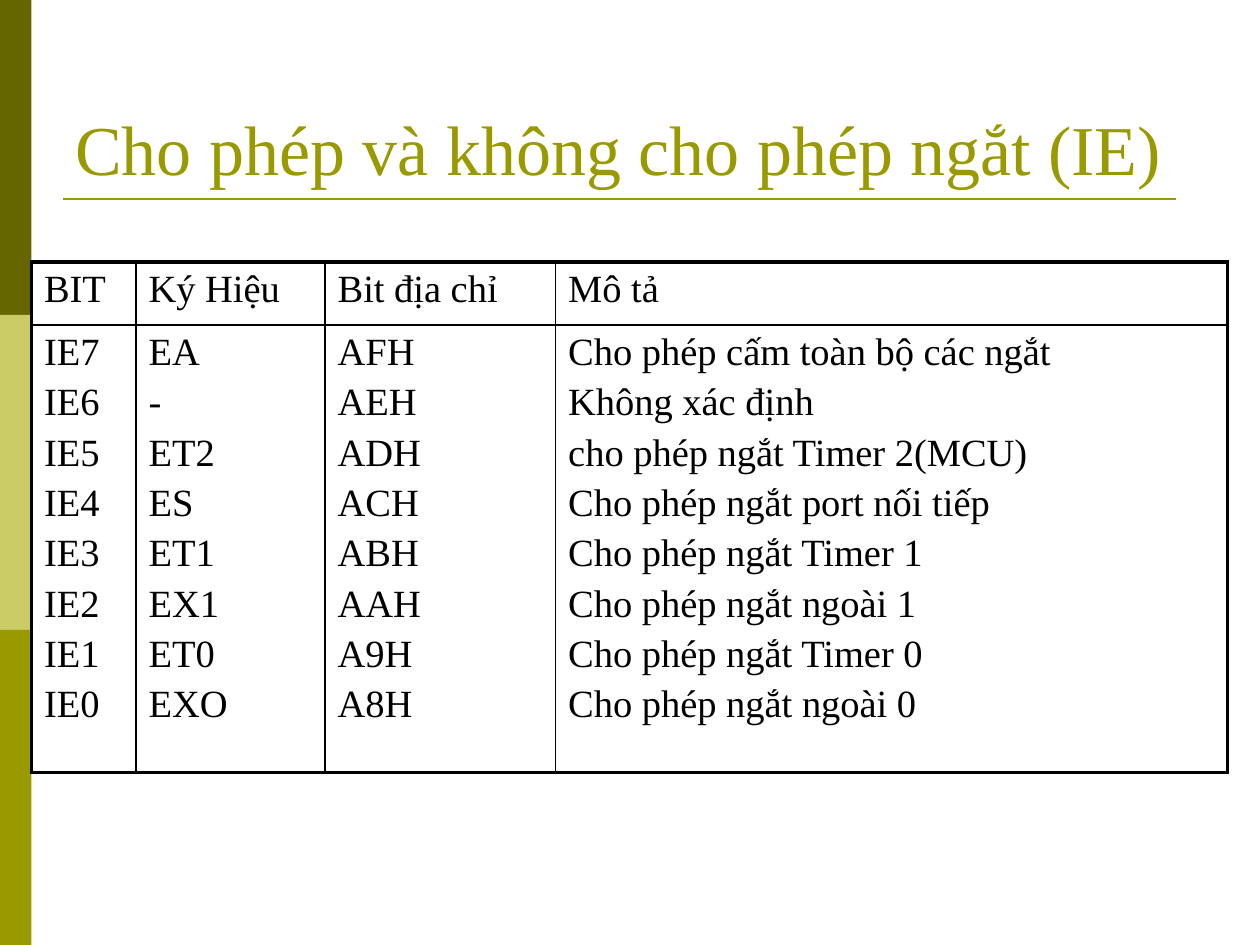
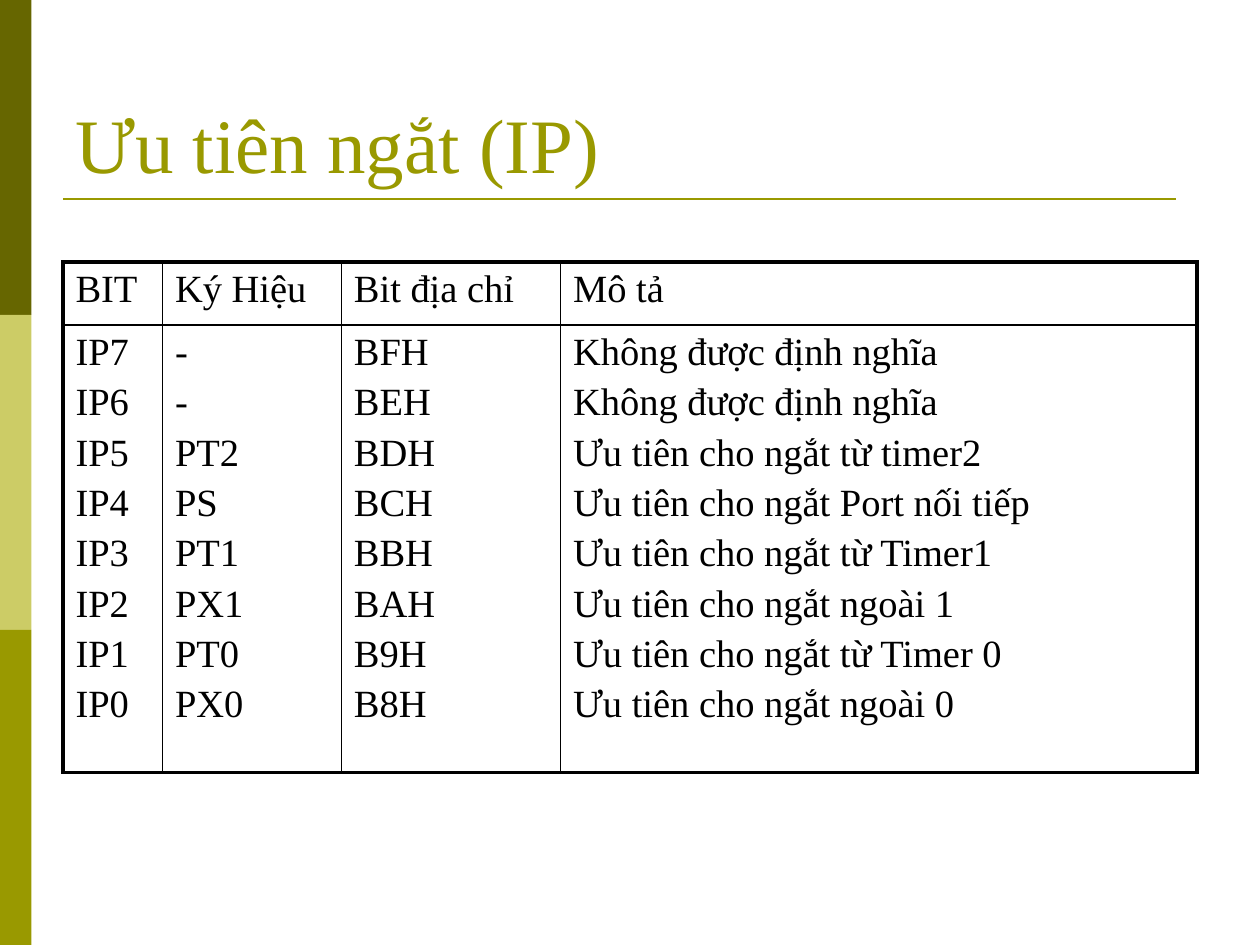
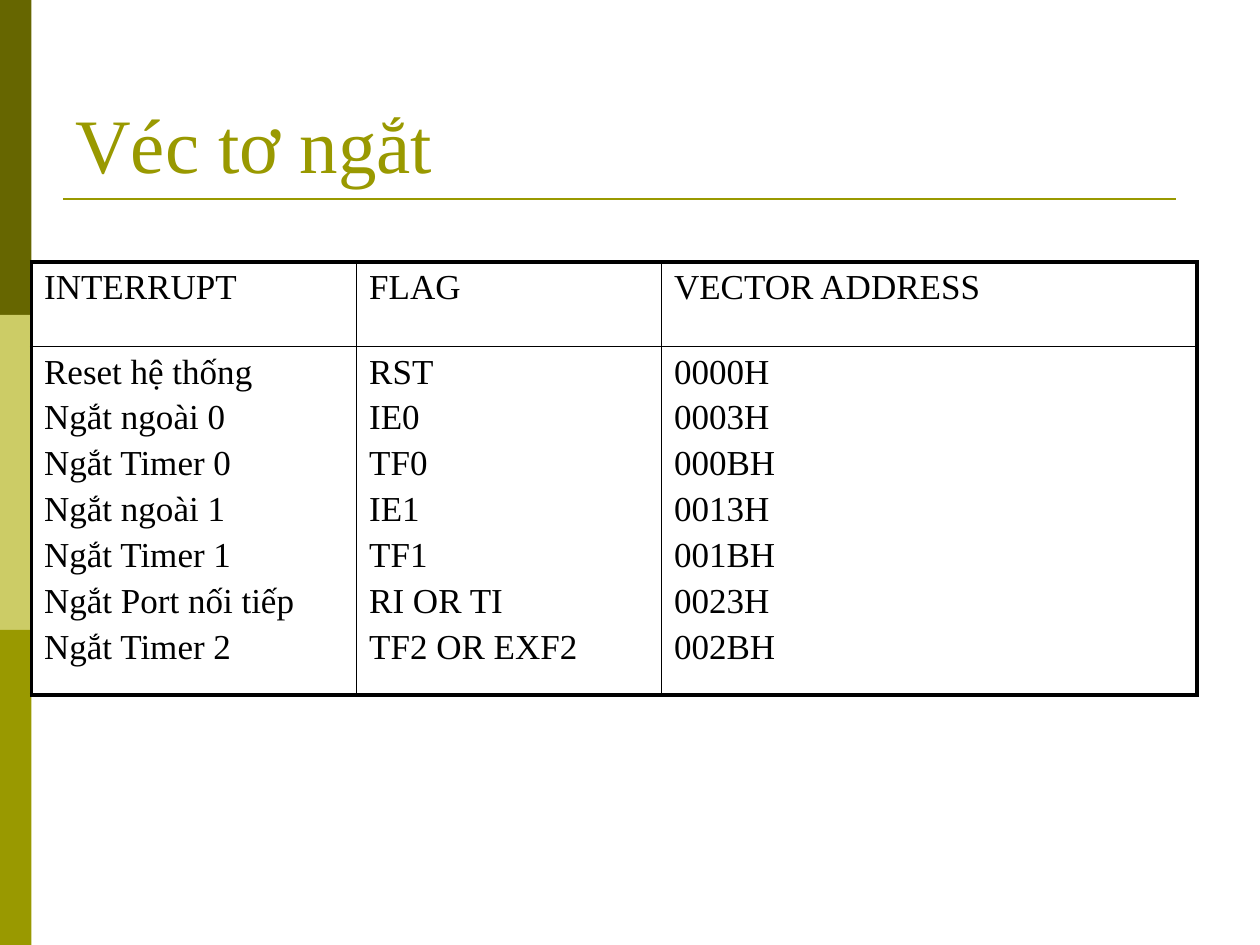
from lxml import etree
from pptx import Presentation
from pptx.dml.color import RGBColor
from pptx.enum import shapes, text
from pptx.oxml.ns import qn
from pptx.util import Inches, Pt

FONT = "Times New Roman"
OLIVE, BLACK = "999900", "000000"
BANDS = ["666600", "CCCC66", OLIVE]
BAND_WIDTH, BAND_HEIGHT = 0.25, 2.5
TABLE_TOP = 2.08
OUTER, INNER = 2.25, 1
SPACING = 0.2
REGISTER_HEADER = ("BIT", "Ký Hiệu", "Bit địa chỉ", "Mô tả")

SLIDES = [
    {
        "title": "Cho phép và không cho phép ngắt (IE)", "title_size": 40,
        "left": 0.25, "text_size": 22,
        "columns": [0.83, 1.5, 1.83, 5.33], "rows": [0.5, 3.55],
        "header": REGISTER_HEADER,
        "entries": [
            ("IE7", "EA", "AFH", "Cho phép cấm toàn bộ các ngắt"),
            ("IE6", "-", "AEH", "Không xác định"),
            ("IE5", "ET2", "ADH", "cho phép ngắt Timer 2(MCU)"),
            ("IE4", "ES", "ACH", "Cho phép ngắt port nối tiếp"),
            ("IE3", "ET1", "ABH", "Cho phép ngắt Timer 1"),
            ("IE2", "EX1", "AAH", "Cho phép ngắt ngoài 1"),
            ("IE1", "ET0", "A9H", "Cho phép ngắt Timer 0"),
            ("IE0", "EXO", "A8H", "Cho phép ngắt ngoài 0"),
        ],
    },
    {
        "title": "Ưu tiên ngắt (IP)", "title_size": 44,
        "left": 0.5, "text_size": 22,
        "columns": [0.79, 1.42, 1.74, 5.05], "rows": [0.5, 3.55],
        "header": REGISTER_HEADER,
        "entries": [
            ("IP7", "-", "BFH", "Không được định nghĩa"),
            ("IP6", "-", "BEH", "Không được định nghĩa"),
            ("IP5", "PT2", "BDH", "Ưu tiên cho ngắt từ timer2"),
            ("IP4", "PS", "BCH", "Ưu tiên cho ngắt Port nối tiếp"),
            ("IP3", "PT1", "BBH", "Ưu tiên cho ngắt từ Timer1"),
            ("IP2", "PX1", "BAH", "Ưu tiên cho ngắt ngoài 1"),
            ("IP1", "PT0", "B9H", "Ưu tiên cho ngắt từ Timer 0"),
            ("IP0", "PX0", "B8H", "Ưu tiên cho ngắt ngoài 0"),
        ],
    },
    {
        "title": "Véc tơ ngắt", "title_size": 44,
        "left": 0.25, "text_size": 20,
        "columns": [2.58, 2.42, 4.25], "rows": [0.67, 2.25],
        "header": ("INTERRUPT", "FLAG", "VECTOR ADDRESS"),
        "entries": [
            ("Reset hệ thống", "RST", "0000H"),
            ("Ngắt ngoài 0", "IE0", "0003H"),
            ("Ngắt Timer 0", "TF0", "000BH"),
            ("Ngắt ngoài 1", "IE1", "0013H"),
            ("Ngắt Timer 1", "TF1", "001BH"),
            ("Ngắt Port nối tiếp", "RI OR TI", "0023H"),
            ("Ngắt Timer 2", "TF2 OR EXF2", "002BH"),
        ],
    },
]


def colour(hex_value):
    return RGBColor.from_string(hex_value)


def box(*lengths):
    return [Inches(length) for length in lengths]


def apply(target, formats):
    for name, value in formats.items():
        setattr(target, name, value)


def write(frame, content, size, hex_value, spacing=0):
    frame.text = content
    for paragraph in frame.paragraphs:
        paragraph.space_before = Pt(size * spacing)
        apply(paragraph.runs[0].font, {"name": FONT, "size": Pt(size)})
        paragraph.runs[0].font.color.rgb = colour(hex_value)


def add_frame(slide):
    for index, shade in enumerate(BANDS):
        band = slide.shapes.add_shape(
            shapes.MSO_SHAPE.RECTANGLE,
            *box(0, index * BAND_HEIGHT, BAND_WIDTH, BAND_HEIGHT))
        band.shadow.inherit = False
        band.fill.solid()
        band.fill.fore_color.rgb = colour(shade)
        band.line.fill.background()
    rule = slide.shapes.add_connector(
        shapes.MSO_CONNECTOR.STRAIGHT, *box(0.5, 1.58, 9.33, 1.58))
    rule.line.color.rgb = colour(OLIVE)
    rule.line.width = Pt(1.5)
    etree.SubElement(rule._element.spPr, qn("a:effectLst"))


def add_title(slide, content, size):
    title = slide.shapes.add_textbox(*box(0.5, 0.3, 9, 1.25)).text_frame
    apply(title, {"word_wrap": True, "vertical_anchor": text.MSO_ANCHOR.BOTTOM})
    write(title, content, size, OLIVE)


def add_borders(cell, widths):
    properties = cell._tc.get_or_add_tcPr()
    for side, width in widths.items():
        border = etree.SubElement(properties, qn("a:ln" + side), w=str(Pt(width)))
        fill = etree.SubElement(border, qn("a:solidFill"))
        etree.SubElement(fill, qn("a:srgbClr"), val=BLACK)


def add_register_table(slide, page):
    columns, rows = page["columns"], page["rows"]
    table = slide.shapes.add_table(
        len(rows), len(columns),
        *box(page["left"], TABLE_TOP, sum(columns), sum(rows))).table
    apply(table, {"first_row": False, "horz_banding": False})
    for column, width in zip(table.columns, columns):
        column.width = Inches(width)
    for row, height in zip(table.rows, rows):
        row.height = Inches(height)

    bodies = ["\n".join(values) for values in zip(*page["entries"])]
    last_row, last_column = len(rows) - 1, len(columns) - 1
    for r, contents in enumerate([page["header"], bodies]):
        for c, content in enumerate(contents):
            cell = table.cell(r, c)
            write(cell.text_frame, content, page["text_size"], BLACK, SPACING)
            on_edge = {"L": c == 0, "R": c == last_column,
                       "T": r == 0, "B": r == last_row}
            add_borders(cell, {side: OUTER if edge else INNER
                               for side, edge in on_edge.items()})
            cell.fill.background()


def main():
    deck = Presentation()
    apply(deck, {"slide_width": Inches(10), "slide_height": Inches(7.5)})
    for page in SLIDES:
        slide = deck.slides.add_slide(deck.slide_layouts[6])
        add_frame(slide)
        add_title(slide, page["title"], page["title_size"])
        add_register_table(slide, page)
    deck.save("out.pptx")


if __name__ == "__main__":
    main()
